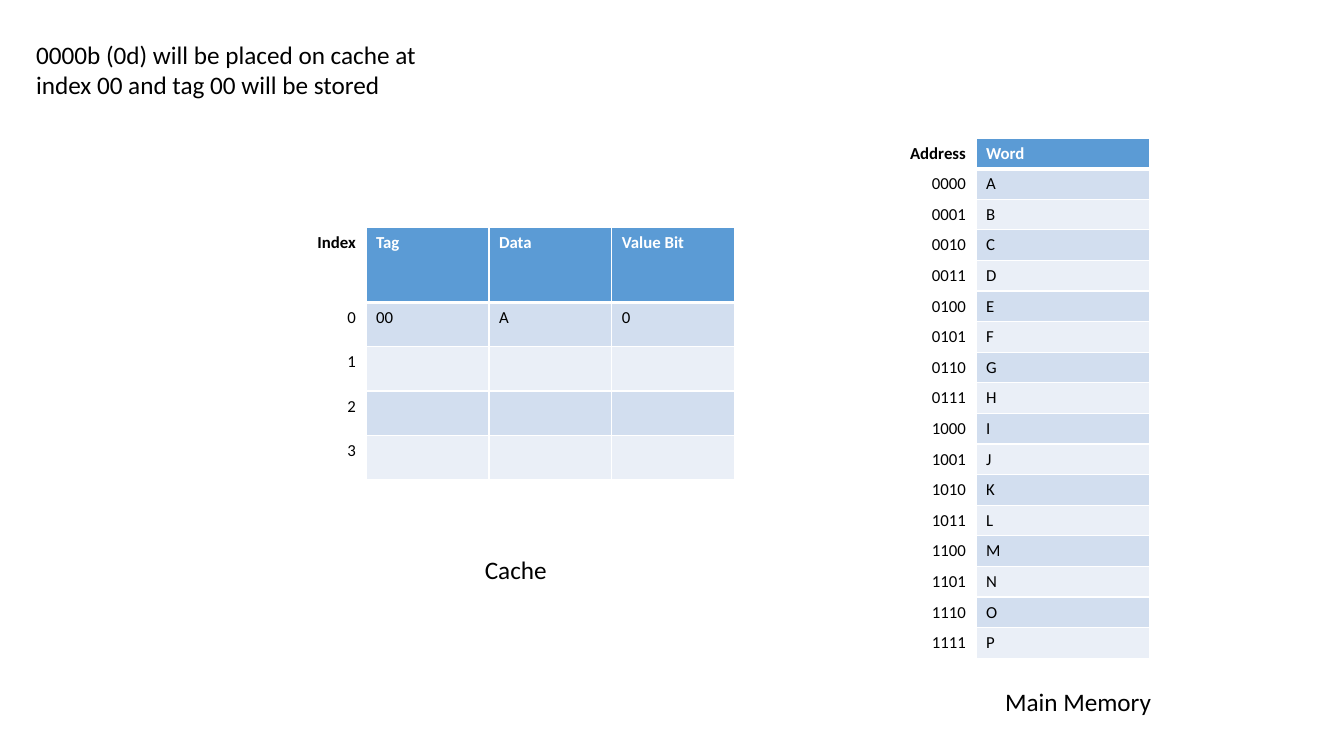
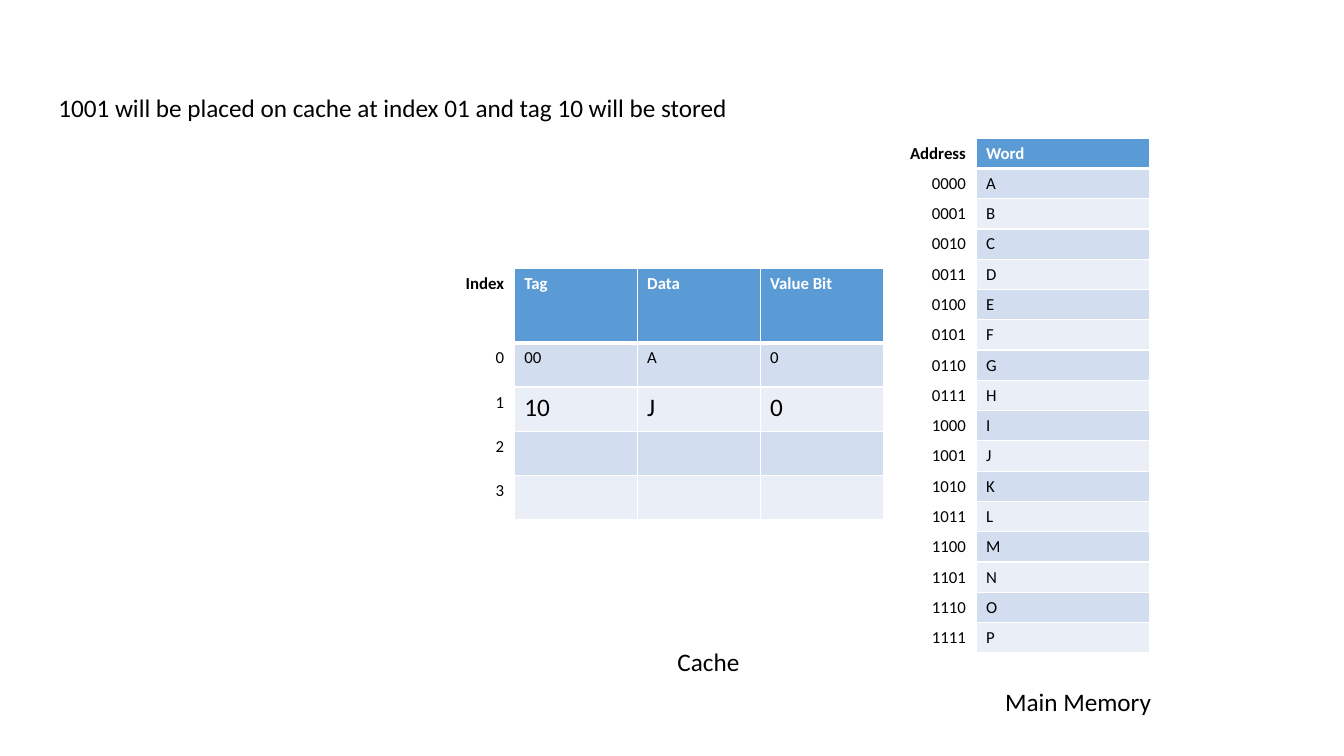
from lxml import etree
from pptx import Presentation
from pptx.dml.color import RGBColor
from pptx.enum import text
from pptx.oxml import ns
from pptx.util import Inches, Pt

BLACK = RGBColor(0x00, 0x00, 0x00)
WHITE = RGBColor(0xFF, 0xFF, 0xFF)
HEADER_BLUE = RGBColor(0x5B, 0x9B, 0xD5)
BANDS = (RGBColor(0xD2, 0xDE, 0xEF), RGBColor(0xEA, 0xEF, 0xF7))
FONT = "Calibri"
LARGE, SMALL = 18, 12
PLAIN_TABLE = "{2D5ABB26-0587-4C30-8999-92F81FD0307C}"

MEMORY = [("Address", "Word")] + [
    (format(i, "04b"), letter) for i, letter in enumerate("ABCDEFGHIJKLMNOP")]
CACHE_HEADER = ("Index", "Tag", "Data", "Value Bit")
CACHE_LINES = 4


class Deck:
    """Shared style and the slide being filled."""

    def __init__(self):
        self.prs = Presentation()
        self.prs.slide_width = Inches(13.33)
        self.prs.slide_height = Inches(7.5)
        self.slide = None

    def new_slide(self):
        self.slide = self.prs.slides.add_slide(self.prs.slide_layouts[6])

    def style(self, p, size, color=BLACK, bold=False):
        p.font.name = FONT
        p.font.size = Pt(size)
        p.font.color.rgb = color
        p.font.bold = bold

    def label(self, words, left, top, width, height=0.4, wrap=False):
        sp = self.slide.shapes.add_textbox(
            Inches(left), Inches(top), Inches(width), Inches(height))
        tf = sp.text_frame
        tf.word_wrap = wrap
        tf.auto_size = text.MSO_AUTO_SIZE.SHAPE_TO_FIT_TEXT
        p = tf.paragraphs[0]
        p.text = words
        self.style(p, LARGE)

    def borders(self, cell, top, bottom):
        tc_pr = cell._tc.get_or_add_tcPr()
        for side, width in (("L", 1), ("R", 1), ("T", top), ("B", bottom)):
            ln = etree.SubElement(tc_pr, ns.qn("a:ln" + side), w=str(Pt(width)))
            fill = etree.SubElement(ln, ns.qn("a:solidFill"))
            etree.SubElement(fill, ns.qn("a:srgbClr"), val=str(WHITE))

    def cell(self, cell, words, row, col, size):
        header, is_label = row == 0, col == 0
        self.borders(cell, 3 if row == 1 else 1, 3 if header else 1)
        if is_label:
            cell.fill.background()
        else:
            cell.fill.solid()
            cell.fill.fore_color.rgb = (
                HEADER_BLUE if header else BANDS[(row - 1) % 2])
        p = cell.text_frame.paragraphs[0]
        p.text = words
        p.alignment = text.PP_ALIGN.RIGHT if is_label else text.PP_ALIGN.LEFT
        self.style(p, SMALL if is_label else size,
                   WHITE if header and not is_label else BLACK, header)

    def table(self, rows, left, top, col_width, row_heights, large_row=None):
        """Banded table whose first column holds unfilled row labels."""
        cols = len(rows[0])
        table = self.slide.shapes.add_table(
            len(rows), cols, Inches(left), Inches(top),
            Inches(col_width * cols), Inches(sum(row_heights))).table
        table._tbl.tblPr.find(ns.qn("a:tableStyleId")).text = PLAIN_TABLE
        for column in table.columns:
            column.width = Inches(col_width)
        for r, values in enumerate(rows):
            table.rows[r].height = Inches(row_heights[r])
            size = LARGE if r == large_row else SMALL
            for c, words in enumerate(values):
                self.cell(table.cell(r, c), words, r, c, size)

    def memory(self):
        self.table(MEMORY, 7.96, 1.37, 1.72, [0.3] * len(MEMORY))
        self.label("Main Memory", 9.87, 6.76, 1.67)

    def cache(self, entries, left, top, caption_at, large_row=None):
        rows = [CACHE_HEADER] + [
            (str(i), *entries.get(i, ("", "", ""))) for i in range(CACHE_LINES)]
        self.table(rows, left, top, 1.22, [0.74] + [0.44] * CACHE_LINES,
                   large_row)
        self.label("Cache", *caption_at, 0.82)


def main():
    deck = Deck()

    # First word stored in the cache
    deck.new_slide()
    deck.memory()
    entries = {0: ("00", "A", "0")}
    deck.cache(entries, 2.41, 2.26, (4.71, 5.45))
    deck.label("0000b (0d) will be placed on cache at index 00 "
               "and tag 00 will be stored", 0.26, 0.34, 4.06, 1.01, wrap=True)

    # Second word stored in the cache
    deck.new_slide()
    deck.memory()
    entries[1] = ("10", "J", "0")
    deck.cache(entries, 3.88, 2.66, (6.62, 6.36), large_row=2)
    deck.label("1001 will be placed on cache at index 01 "
               "and tag 10 will be stored", 0.48, 0.87, 6.92)

    deck.prs.save("out.pptx")


if __name__ == "__main__":
    main()
